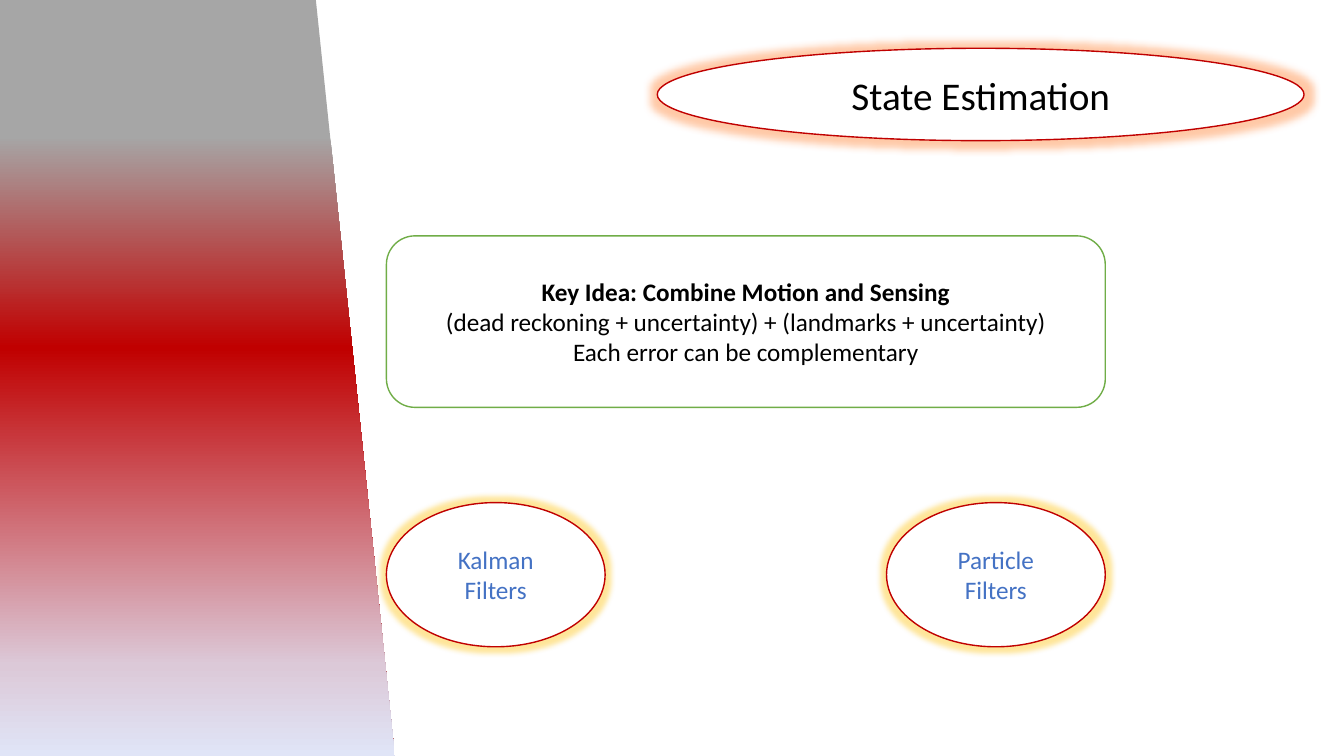
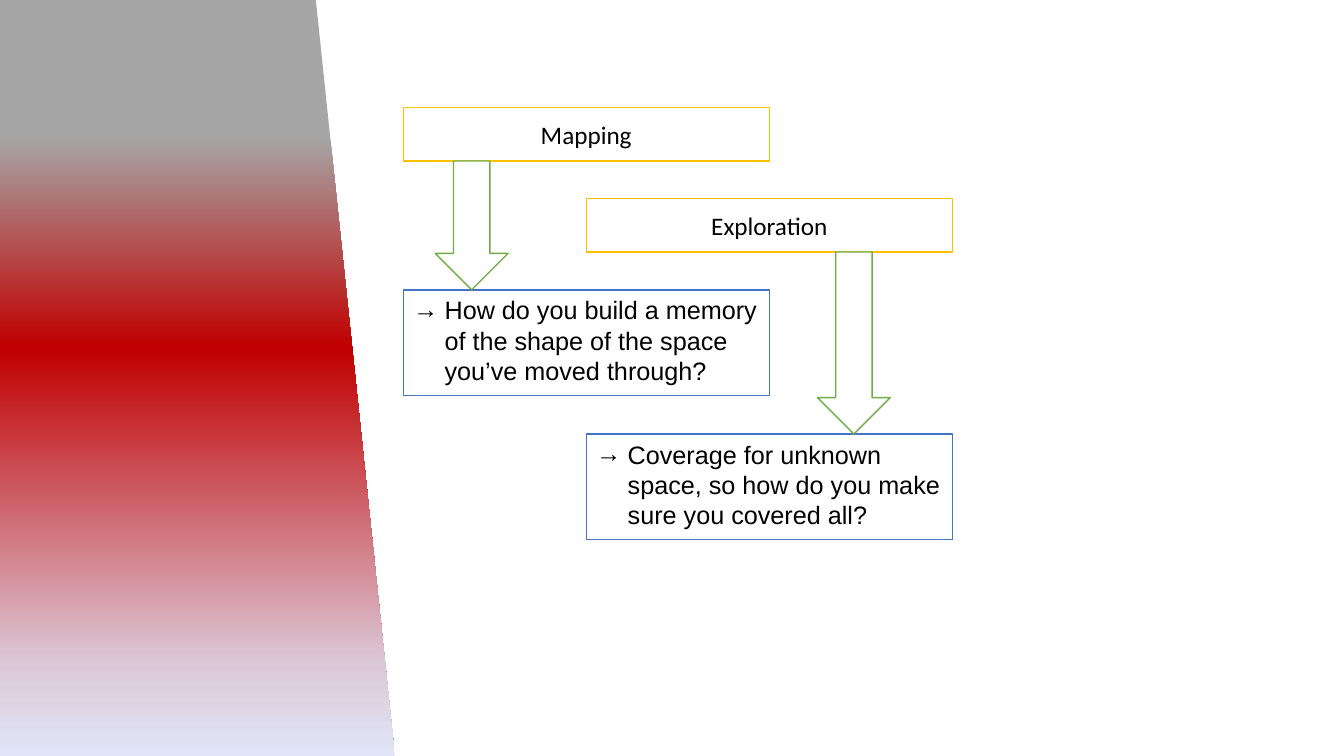
from lxml.etree import SubElement
from pptx import Presentation
from pptx.dml.color import RGBColor
from pptx.enum.shapes import MSO_SHAPE
from pptx.enum.text import MSO_ANCHOR, PP_ALIGN
from pptx.oxml.ns import qn
from pptx.util import Pt

WHITE = RGBColor(0xFF, 0xFF, 0xFF)
BLACK = RGBColor(0x00, 0x00, 0x00)
RED = RGBColor(0xC0, 0x00, 0x00)
GREEN = RGBColor(0x70, 0xAD, 0x47)
BLUE = RGBColor(0x44, 0x72, 0xC4)
GOLD = RGBColor(0xFF, 0xC0, 0x00)
ORANGE = RGBColor(0xFF, 0x7A, 0x25)
GREY = RGBColor(0xA6, 0xA6, 0xA6)
MAUVE = RGBColor(0xDC, 0xC9, 0xD8)
PALE_BLUE = RGBColor(0xE0, 0xE5, 0xF7)

SLIDE_W, SLIDE_H = 960, 540
BAND_W = 282
BAND_STOPS = [(18, GREY), (46, RED), (88, MAUVE), (100, PALE_BLUE)]
HEADING_FONT, QUESTION_FONT = "Calibri", "Arial"


def add_colour(parent, colour):
    return SubElement(parent, qn("a:srgbClr"), val=str(colour))


def add_band(slide, layout):
    """Draw the side band and move it to the layout, so every slide shows it."""
    # Turned a quarter, so the unrotated frame is as wide as the slide is high
    band = slide.shapes.add_shape(
        MSO_SHAPE.FLOWCHART_MANUAL_INPUT, Pt((BAND_W - SLIDE_H) / 2),
        Pt((SLIDE_H - BAND_W) / 2), Pt(SLIDE_H), Pt(BAND_W))
    band.rotation = 90
    band.shadow.inherit = False
    band.line.fill.background()
    band.fill.gradient()
    band.fill.gradient_angle = 0
    stops = band.element.spPr.find(qn("a:gradFill")).find(qn("a:gsLst"))
    for stop in list(stops):
        stops.remove(stop)
    for percent, colour in BAND_STOPS:
        add_colour(SubElement(stops, qn("a:gs"), pos=str(percent * 1000)), colour)
    layout.shapes.element.append(band.element)


def add_outlined(slide, preset, left, top, width, height, outline):
    shape = slide.shapes.add_shape(preset, Pt(left), Pt(top), Pt(width), Pt(height))
    shape.shadow.inherit = False
    shape.fill.solid()
    shape.fill.fore_color.rgb = WHITE
    shape.line.color.rgb = outline
    shape.line.width = Pt(1)
    return shape


def add_glow(shape, colour, radius):
    effects = shape.element.spPr.find(qn("a:effectLst"))
    glow = SubElement(effects, qn("a:glow"), rad=str(Pt(radius)))
    SubElement(add_colour(glow, colour), qn("a:alpha"), val="40000")


def write(shape, text, size=18, colour=BLACK, font=HEADING_FONT,
          align=PP_ALIGN.CENTER, anchor=MSO_ANCHOR.MIDDLE):
    frame = shape.text_frame
    frame.word_wrap = True
    frame.vertical_anchor = anchor
    frame.text = text
    for paragraph in frame.paragraphs:
        paragraph.alignment = align
        for run in paragraph.runs:
            run.font.name = font
            run.font.size = Pt(size)
            run.font.color.rgb = colour


def add_glowing_oval(slide, box, text, size, colour, glow, radius):
    oval = add_outlined(slide, MSO_SHAPE.OVAL, *box, RED)
    add_glow(oval, glow, radius)
    write(oval, text, size, colour)


def add_question(slide, box, text):
    question = add_outlined(slide, MSO_SHAPE.RECTANGLE, *box, BLUE)
    write(question, text, font=QUESTION_FONT, align=PP_ALIGN.LEFT,
          anchor=MSO_ANCHOR.TOP)
    indent = Pt(22.5)
    properties = question.text_frame.paragraphs[0]._p.get_or_add_pPr()
    properties.set("marL", str(indent))
    properties.set("indent", str(-indent))
    SubElement(properties, qn("a:buFont"), typeface=QUESTION_FONT)
    SubElement(properties, qn("a:buChar"), char="→")


def build_state_estimation(slide):
    add_glowing_oval(slide, (469.5, 34.5, 462, 66), "State Estimation",
                     28, BLACK, ORANGE, 11)

    # Key idea
    left, width = 276, 513.5
    key_idea = add_outlined(slide, MSO_SHAPE.ROUNDED_RECTANGLE,
                            left, 168.5, width, 122.5, GREEN)
    write(key_idea, "Key Idea: Combine Motion and Sensing\n"
                    "(dead reckoning + uncertainty) + (landmarks + uncertainty)\n"
                    "Each error can be complementary")
    key_idea.text_frame.paragraphs[0].runs[0].font.bold = True

    # Filters, flush with both ends of the key idea
    oval_w = 156.25
    for oval_left, name in [(left, "Kalman Filters"),
                            (left + width - oval_w, "Particle\nFilters")]:
        add_glowing_oval(slide, (oval_left, 359, oval_w, 103), name,
                         18, BLUE, GOLD, 8)


def build_mapping_exploration(slide):
    box_w, topic_h, question_h, arrow_w = 261.5, 38, 75.5, 52
    topics = [
        (288, 77, 207, 311, "Mapping",
         "How do you build a memory of the shape of the space you’ve moved through?"),
        (418.75, 142, 310, 584, "Exploration",
         "Coverage for unknown space, so how do you make sure you covered all?"),
    ]
    for left, topic_top, question_top, arrow_left, name, question in topics:
        topic = add_outlined(slide, MSO_SHAPE.RECTANGLE,
                             left, topic_top, box_w, topic_h, GOLD)
        write(topic, name)
        add_question(slide, (left, question_top, box_w, question_h), question)
        # Arrow from the topic down to its question
        arrow_top = topic_top + topic_h
        add_outlined(slide, MSO_SHAPE.DOWN_ARROW, arrow_left, arrow_top,
                     arrow_w, question_top - arrow_top, GREEN)


def main():
    presentation = Presentation()
    presentation.slide_width, presentation.slide_height = Pt(SLIDE_W), Pt(SLIDE_H)
    blank = presentation.slide_layouts[6]
    estimation = presentation.slides.add_slide(blank)
    add_band(estimation, blank)
    build_state_estimation(estimation)
    build_mapping_exploration(presentation.slides.add_slide(blank))
    presentation.save("out.pptx")


if __name__ == "__main__":
    main()
